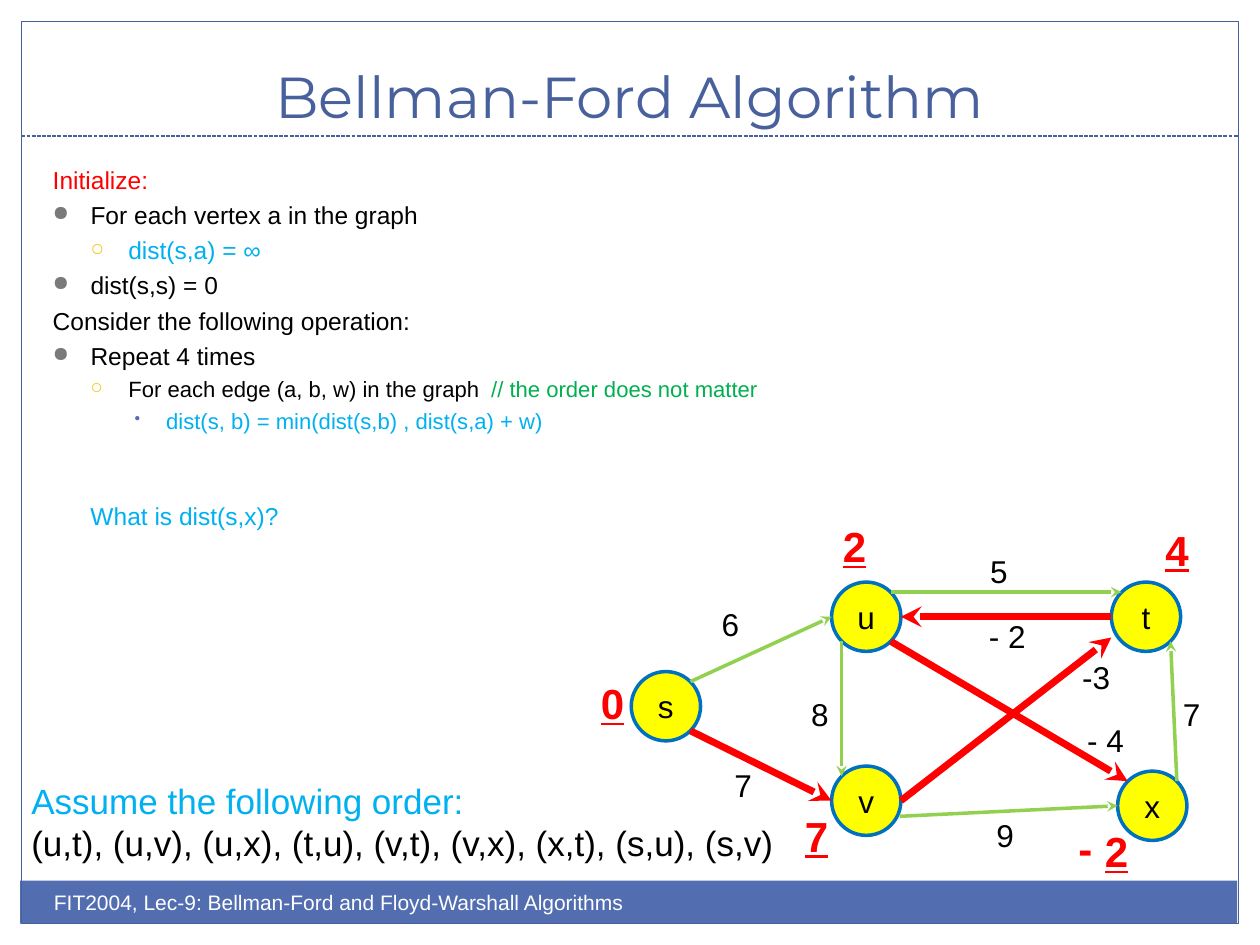
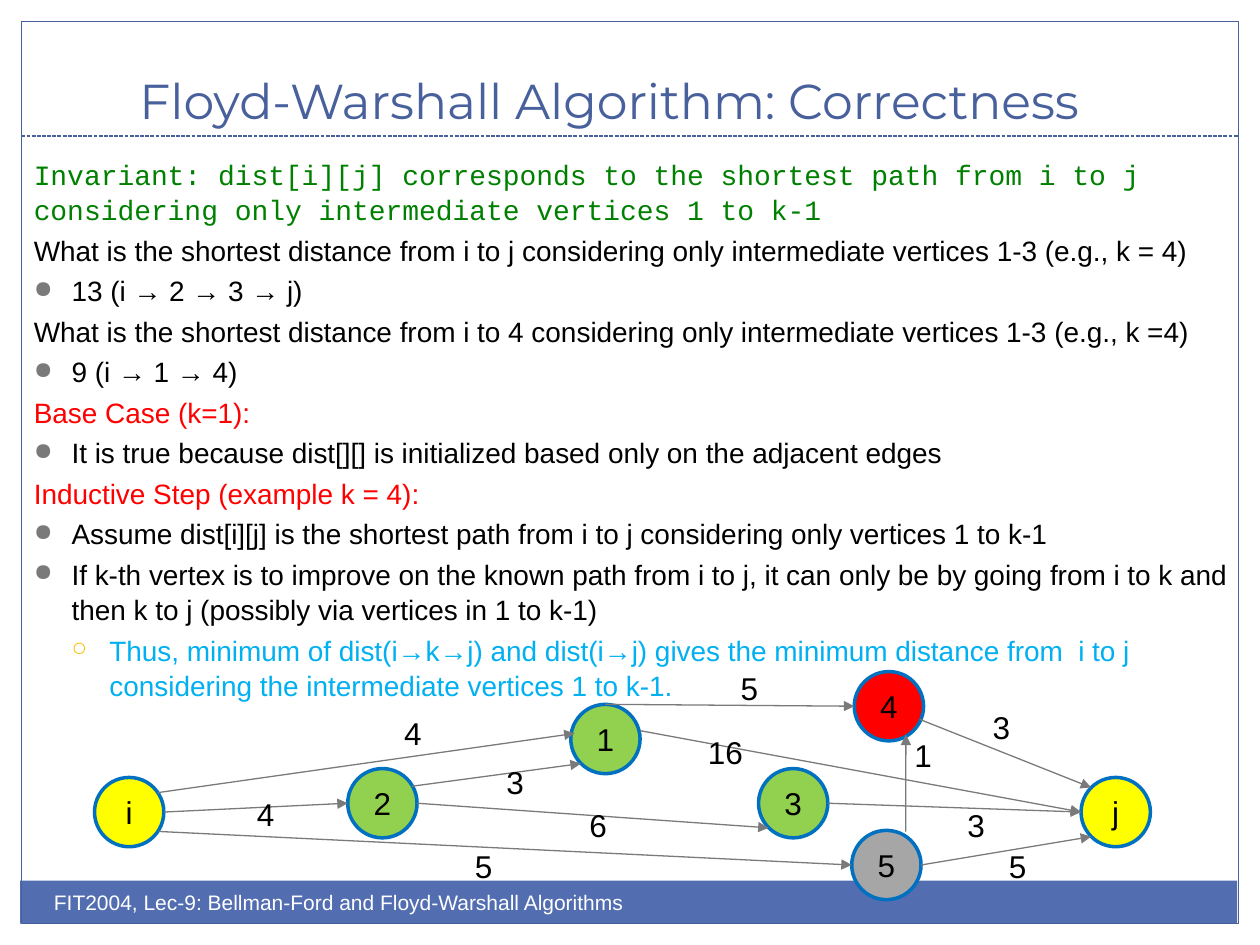
from typing import NamedTuple

from lxml import etree
from pptx import Presentation
from pptx import util as u
from pptx.dml.color import RGBColor
from pptx.enum import dml, shapes, text
from pptx.oxml.ns import qn

# Grid of 100 columns by 75 rows; every place below is in columns and rows.
WIDE, HIGH = u.Inches(10), u.Inches(7.5)
COLS, ROWS = 100, 75

NAVY, BAND, WHITE, BLACK = "48609B", "526DB0", "FFFFFF", "000000"
RED, SKY, GREEN, DARK = "FF0000", "00B0F0", "00B050", "008000"
YELLOW, LIME, GREY, SLATE, RIM = "FFFF00", "92D050", "A6A6A6", "7A7A7A", "0070C0"
SANS, MONO, HEAD = "Arial", "Courier New", "Montserrat"
RADIUS = 2.75
FOOTER = "FIT2004, Lec-9: Bellman-Ford and Floyd-Warshall Algorithms"

# Spots on a node's rim, in radii from its centre.
DIAG = 0.71
N, E, W = (0, -1), (1, 0), (-1, 0)
NE, SE, SW, NW = (DIAG, -DIAG), (DIAG, DIAG), (-DIAG, DIAG), (-DIAG, -DIAG)
Spot = tuple[float, float]


class Run(NamedTuple):
    words: str
    size: float = 18
    color: str = BLACK
    font: str = SANS
    bold: bool = False
    under: bool = False


class Para(NamedTuple):
    runs: list[Run]
    level: int = 0
    gap: float | None = None


class Bullet(NamedTuple):
    mark: str
    color: str
    share: int
    left: float
    hang: float


class Node(NamedTuple):
    name: str
    x: float
    y: float
    fill: str = YELLOW


class Edge(NamedTuple):
    start: str
    leave: Spot
    end: str
    reach: Spot
    color: str = SLATE
    width: float = 0.75
    head: str = "triangle"


class Label(NamedTuple):
    run: Run
    x: float
    y: float
    wide: float = 3.4
    high: float = 4


BULLETS = {
    1: Bullet("●", SLATE, 85, 3, 3),
    2: Bullet("○", "F5C201", 70, 6, 3),
    3: Bullet("•", BAND, 75, 9, 2.5),
}


def col(n: float) -> int:
    return round(WIDE * n / COLS)


def row(n: float) -> int:
    return round(HIGH * n / ROWS)


def rgb(code: str) -> RGBColor:
    return RGBColor.from_string(code)


def add_run(para, run: Run) -> None:
    part = para.add_run()
    part.text = run.words
    font = part.font
    font.size, font.name = u.Pt(run.size), run.font
    font.bold, font.underline = run.bold, run.under
    font.color.rgb = rgb(run.color)


def add_mark(para, mark: Bullet) -> None:
    """Give a paragraph its bullet and hanging indent."""
    props = para._p.get_or_add_pPr()
    props.set("marL", str(col(mark.left)))
    props.set("indent", str(-col(mark.hang)))
    tint = etree.SubElement(props, qn("a:buClr"))
    etree.SubElement(tint, qn("a:srgbClr"), val=mark.color)
    etree.SubElement(props, qn("a:buSzPct"), val=str(mark.share * 1000))
    etree.SubElement(props, qn("a:buChar"), char=mark.mark)


def add_text(slide, x: float, y: float, wide: float, high: float, paras: list[Para],
             gap: float = 0, lead: float = 1, wrap: bool = True,
             align=text.PP_ALIGN.LEFT, anchor=text.MSO_ANCHOR.TOP) -> None:
    frame = slide.shapes.add_textbox(col(x), row(y), col(wide), row(high)).text_frame
    frame.word_wrap, frame.vertical_anchor = wrap, anchor
    for i, item in enumerate(paras):
        para = frame.add_paragraph() if i else frame.paragraphs[0]
        para.alignment, para.line_spacing = align, lead
        para.space_before = u.Pt(gap if item.gap is None else item.gap)
        if item.level:
            add_mark(para, BULLETS[item.level])
        for run in item.runs:
            add_run(para, run)


def add_box(slide, kind, x: float, y: float, wide: float, high: float,
            fill: str | None = None, line: str | None = None, width: float = 0.75):
    box = slide.shapes.add_shape(kind, col(x), row(y), col(wide), row(high))
    box.shadow.inherit = False
    if fill:
        box.fill.solid()
        box.fill.fore_color.rgb = rgb(fill)
    else:
        box.fill.background()
    if line:
        box.line.color.rgb, box.line.width = rgb(line), u.Pt(width)
    else:
        box.line.fill.background()
    return box


def add_line(slide, start: Spot, end: Spot, color: str, width: float, head: str = ""):
    line = slide.shapes.add_connector(shapes.MSO_CONNECTOR.STRAIGHT, col(start[0]),
                                      row(start[1]), col(end[0]), row(end[1]))
    line.line.color.rgb, line.line.width = rgb(color), u.Pt(width)
    props = line._element.spPr
    if head:
        etree.SubElement(props.find(qn("a:ln")), qn("a:tailEnd"), type=head)
    etree.SubElement(props, qn("a:effectLst"))
    return line


def add_page(deck, title: str, size: float, left: float, wide: float):
    """Add a blank slide with band, frame, rule, title and footer."""
    slide = deck.slides.add_slide(deck.slide_layouts[6])
    rect = shapes.MSO_SHAPE.RECTANGLE
    add_box(slide, rect, 1.6, 69.9, 96.6, 3.4, fill=BAND)
    add_box(slide, rect, 1.7, 1.7, 96.6, 71.6, line=NAVY)
    rule = add_line(slide, (1.7, 10.8), (98.3, 10.8), NAVY, 0.75)
    rule.line.dash_style = dml.MSO_LINE.SQUARE_DOT
    add_text(slide, left, 2.5, wide, 8.3, [Para([Run(title, size, NAVY, HEAD)])],
             align=text.PP_ALIGN.CENTER, anchor=text.MSO_ANCHOR.BOTTOM)
    add_text(slide, 3.3, 70.1, 50, 4, [Para([Run(FOOTER, 12, WHITE)])])
    return slide


def add_graph(slide, nodes: list[Node], edges: list[Edge], labels: list[Label]) -> None:
    for node in nodes:
        disc = add_box(slide, shapes.MSO_SHAPE.OVAL, node.x - RADIUS, node.y - RADIUS,
                       2 * RADIUS, 2 * RADIUS, node.fill, RIM, 2)
        frame = disc.text_frame
        frame.margin_left = frame.margin_right = 0
        frame.margin_top = frame.margin_bottom = 0
        frame.word_wrap, frame.vertical_anchor = False, text.MSO_ANCHOR.MIDDLE
        frame.paragraphs[0].alignment = text.PP_ALIGN.CENTER
        add_run(frame.paragraphs[0], Run(node.name))
    lookup = {node.name: node for node in nodes}

    def rim(name: str, spot: Spot) -> Spot:
        node = lookup[name]
        return node.x + RADIUS * spot[0], node.y + RADIUS * spot[1]

    for edge in edges:
        add_line(slide, rim(edge.start, edge.leave), rim(edge.end, edge.reach),
                 edge.color, edge.width, edge.head)
    for tag in labels:
        add_text(slide, tag.x, tag.y, tag.wide, tag.high, [Para([tag.run])], wrap=False)


def light(start: str, leave: Spot, end: str, reach: Spot) -> Edge:
    return Edge(start, leave, end, reach, LIME, 2, "stealth")


def bold(start: str, leave: Spot, end: str, reach: Spot) -> Edge:
    """Edge on a shortest route."""
    return Edge(start, leave, end, reach, RED, 4, "stealth")


def cost(words: str, x: float, y: float, wide: float = 3.4) -> Label:
    return Label(Run(words), x, y, wide)


def dist(words: str, x: float, y: float, wide: float = 3.9, under: bool = True) -> Label:
    return Label(Run(words, 24, RED, bold=True, under=under), x, y, wide, 5)


def say(words: str, level: int = 0, color: str = BLACK, size: float = 16,
        font: str = SANS, gap: float | None = None) -> Para:
    return Para([Run(words, size, color, font)], level, gap)


def bellman(deck) -> None:
    slide = add_page(deck, "Bellman-Ford Algorithm", 33, 0, 100)
    add_text(slide, 3.2, 12.6, 93.2, 28.6, [
        say("Initialize:", 0, RED, 14),
        say("For each vertex a in the graph", 1, size=14),
        say("dist(s,a) = ∞", 2, SKY, 14),
        say("dist(s,s) = 0", 1, size=14),
        say("Consider the following operation:", size=14),
        say("Repeat 4 times", 1, size=14),
        Para([Run("For each edge (a, b, w) in the graph  ", 12.6),
              Run("// the order does not matter", 12.6, GREEN)], 2),
        say("dist(s, b) = min(dist(s,b) , dist(s,a) + w)", 3, SKY, 12.6, gap=2.6),
    ], gap=3.3)
    add_text(slide, 6.2, 39.3, 30, 3.4, [say("What is dist(s,x)?", 0, SKY, 14)])
    nodes = [Node("v", 68.75, 63.55), Node("u", 68.75, 48.95), Node("x", 91.45, 63.95),
             Node("t", 90.95, 48.95), Node("s", 52.85, 56.05)]
    edges = [
        light("s", NE, "u", W), bold("s", SE, "v", W),
        light("u", SW, "v", NW), light("u", NE, "t", NW),
        bold("u", SE, "x", NW), light("x", NE, "t", SE),
        bold("v", E, "t", (-1, 0.6)), light("v", (0.96, 0.45), "x", W),
        bold("t", W, "u", E),
    ]
    labels = [
        cost("6", 56.3, 47.5), cost("7", 57.3, 60.3), cost("8", 63.4, 54.7),
        cost("5", 77.6, 43.3), cost("-3", 84.9, 51.7, 4.3), cost("9", 78.1, 64.3),
        cost("- 4", 85.3, 56.7, 5), cost("7", 92.9, 54.7), cost("- 2", 77.5, 48.5, 5),
        dist("0", 46.7, 53.3), dist("2", 65.9, 40.8), dist("7", 62.9, 63.8),
        dist("2", 86.7, 65), dist("4", 91.5, 41.1),
        dist("-", 84.6, 64.8, 3.1, under=False),
    ]
    add_graph(slide, nodes, edges, labels)
    add_text(slide, 1.5, 61.4, 61.9, 7.7, [
        say("Assume the following order:", 0, SKY, 20),
        say("(u,t), (u,v), (u,x), (t,u), (v,t), (v,x), (x,t), (s,u), (s,v)", size=20),
    ], wrap=False)


def floyd(deck) -> None:
    slide = add_page(deck, "Floyd-Warshall Algorithm: Correctness", 28, -0.8, 98.3)
    ask = "What is the shortest distance from i to {} considering only intermediate vertices 1-3 (e.g., k ={})"
    add_text(slide, 1.7, 11.9, 98.3, 46.9, [
        say("Invariant: dist[i][j] corresponds to the shortest path from i to j "
            "considering only intermediate vertices 1 to k-1", 0, DARK, font=MONO),
        say(ask.format("j", " 4")),
        say("13 (i → 2 → 3 → j)", 1),
        say(ask.format("4", "4")),
        say("9 (i → 1 → 4)", 1),
        say("Base Case (k=1):", 0, RED),
        say("It is true because dist[][] is initialized based only on the adjacent edges", 1),
        say("Inductive Step (example k = 4):", 0, RED),
        say("Assume dist[i][j] is the shortest path from i to j considering only "
            "vertices 1 to k-1", 1),
        say("If k-th vertex is to improve on the known path from i to j, it can only be by "
            "going from i to k and then k to j (possibly via vertices in 1 to k-1)", 1),
        say("Thus, minimum of dist(i→k→j) and dist(i→j) gives the minimum distance from  "
            "i to j considering the intermediate vertices 1 to k-1.", 2, SKY),
    ], gap=3, lead=1.05)
    nodes = [Node("i", 10.25, 64.45), Node("j", 88.55, 64.45), Node("1", 48.05, 58.65, LIME),
             Node("2", 30.35, 63.75, LIME), Node("3", 62.95, 63.75, LIME),
             Node("4", 70.55, 56.05, RED), Node("5", 70.35, 68.65, GREY)]
    edges = [
        Edge("i", E, "2", W), Edge("2", E, "3", SW),
        Edge("1", (1, -0.24), "j", W), Edge("3", E, "j", W),
        Edge("i", (0.82, -0.56), "1", (-0.89, -0.16)),
        Edge("4", (0.89, 0.38), "j", NW), Edge("1", N, "4", W),
        Edge("i", (0.85, 0.56), "5", W), Edge("5", E, "j", SW),
        Edge("5", (0.56, -0.96), "4", (0.49, 0.82)),
        Edge("2", (0.85, -0.49), "1", SW),
    ]
    labels = [
        cost("5", 36.7, 66.7), cost("5", 79.1, 66.7), cost("4", 31.1, 56.2),
        cost("5", 57.8, 52.6), cost("3", 77.8, 55.7), cost("16", 55.2, 57.7, 4.8),
        cost("4", 19.4, 62.6), cost("3", 39.2, 60.1), cost("6", 45.8, 63.5),
        cost("3", 75.8, 63.5), cost("1", 71.6, 57.9),
    ]
    add_graph(slide, nodes, edges, labels)


def main() -> None:
    deck = Presentation()
    deck.slide_width, deck.slide_height = WIDE, HIGH
    bellman(deck)
    floyd(deck)
    deck.save("out.pptx")


if __name__ == "__main__":
    main()
